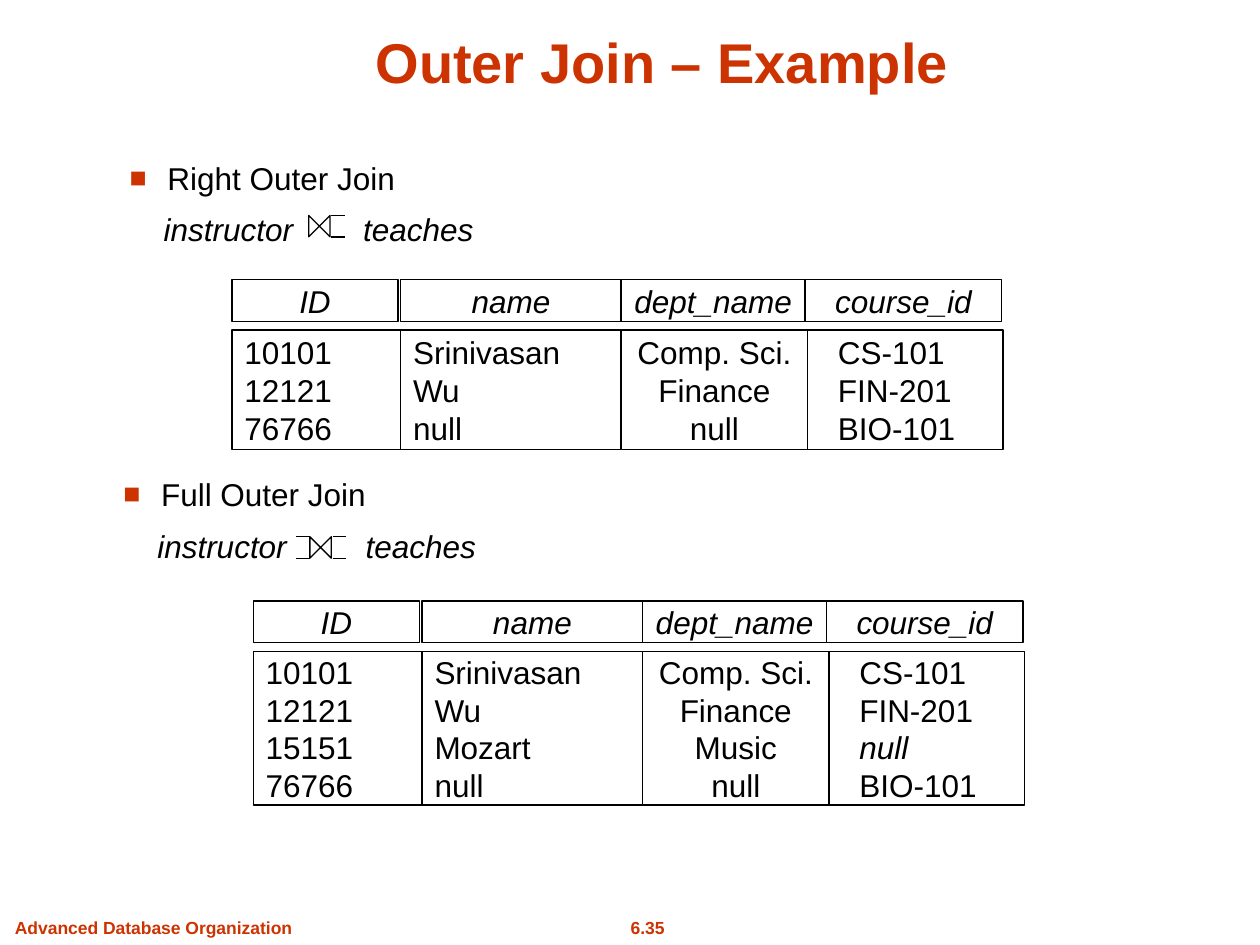
from dataclasses import dataclass

from lxml.etree import SubElement
from pptx import Presentation
from pptx.dml.color import RGBColor
from pptx.enum.shapes import MSO_CONNECTOR, MSO_SHAPE
from pptx.enum.text import MSO_ANCHOR, MSO_AUTO_SIZE, PP_ALIGN
from pptx.oxml.ns import qn
from pptx.util import Inches, Pt


@dataclass(frozen=True)
class Theme:
    """Colours, font, type sizes and line width of the slide."""
    accent: RGBColor = RGBColor(0xCC, 0x33, 0x00)
    ink: RGBColor = RGBColor(0x00, 0x00, 0x00)
    paper: RGBColor = RGBColor(0xFF, 0xFF, 0xFF)
    font: str = "Arial"
    title: Pt = Pt(32)
    body: Pt = Pt(18)
    footer: Pt = Pt(10)
    line: Pt = Pt(0.75)


@dataclass(frozen=True)
class Column:
    """Heading, alignment, left margin and left and width of both cells."""
    heading: str
    align: PP_ALIGN
    margin: float
    header: tuple
    body: tuple


@dataclass(frozen=True)
class Value:
    """A cell value that may be italic."""
    text: str
    italic: bool = False


THEME = Theme()
COLUMNS = (
    Column("ID", PP_ALIGN.LEFT, 0.1, (0, 1.32), (0, 1.35)),
    Column("name", PP_ALIGN.LEFT, 0.1, (1.34, 1.75), (1.34, 1.75)),
    Column("dept_name", PP_ALIGN.CENTER, 0.1, (3.09, 1.46), (3.09, 1.48)),
    Column("course_id", PP_ALIGN.LEFT, 0.24, (4.55, 1.56), (4.57, 1.55)),
)
HEADER_HEIGHT = 0.33
BODY_OFFSET = 0.4


def add_run(paragraph, text, size=THEME.body, color=THEME.ink, bold=False, italic=False):
    """Add one formatted run to a paragraph and return it."""
    run = paragraph.add_run()
    run.text = text
    font = run.font
    font.name, font.size, font.bold, font.italic = THEME.font, size, bold, italic
    font.color.rgb = color
    return run


def add_title(slide, box, text):
    """Place and format the title placeholder."""
    title = slide.shapes.title
    title.left, title.top, title.width, title.height = map(Inches, box)
    frame = title.text_frame
    frame.vertical_anchor = MSO_ANCHOR.BOTTOM
    frame.paragraphs[0].alignment = PP_ALIGN.CENTER
    add_run(frame.paragraphs[0], text, THEME.title, THEME.accent, bold=True)


def add_footer(slide, box, text, align):
    """Add one small bold text at the foot of the slide."""
    frame = slide.shapes.add_textbox(*map(Inches, box)).text_frame
    frame.word_wrap = False
    frame.auto_size = MSO_AUTO_SIZE.SHAPE_TO_FIT_TEXT
    frame.paragraphs[0].alignment = align
    add_run(frame.paragraphs[0], text, THEME.footer, THEME.accent, bold=True)


def set_indent(paragraph, margin, first_line):
    """Set the left margin and first-line indent and return the properties."""
    properties = paragraph._p.get_or_add_pPr()
    properties.set("marL", str(Inches(margin)))
    properties.set("indent", str(Inches(first_line)))
    return properties


def add_bullet(paragraph):
    """Give a paragraph a hanging square bullet in the accent colour."""
    properties = set_indent(paragraph, 0.3, -0.3)
    color = SubElement(properties, qn("a:buClr"))
    SubElement(color, qn("a:srgbClr"), val=str(THEME.accent))
    SubElement(properties, qn("a:buSzPct"), val="90000")
    SubElement(properties, qn("a:buFont"), typeface=THEME.font)
    SubElement(properties, qn("a:buChar"), char="■")


def add_heading(slide, box, name, symbol_spacing):
    """Add a bulleted join name above operands spaced to hold the join symbol."""
    frame = slide.shapes.add_textbox(*map(Inches, box)).text_frame
    frame.word_wrap = True
    frame.auto_size = MSO_AUTO_SIZE.SHAPE_TO_FIT_TEXT
    heading = frame.paragraphs[0]
    add_bullet(heading)
    add_run(heading, name)
    expression = frame.add_paragraph()
    expression.space_before = Pt(7.9)
    set_indent(expression, 0.27, 0)
    add_run(expression, "instructor", italic=True)
    gap = add_run(expression, " ", italic=True)
    gap._r.get_or_add_rPr().set("spc", str(symbol_spacing * 100))
    add_run(expression, "teaches", italic=True)


def add_join_symbol(slide, box, left_arms):
    """Draw a bow tie with arms on the right and, if wanted, on the left."""
    left, top, width, height = box
    group = slide.shapes.add_group_shape()
    bow = group.shapes.add_shape(MSO_SHAPE.FLOWCHART_COLLATE, *map(Inches, box))
    bow.rotation = 270
    bow.shadow.inherit = False
    bow.fill.background()
    bow.line.color.rgb = THEME.ink
    bow.line.width = THEME.line
    arm = 0.11
    starts = [left + width + 0.01] + ([left - arm] if left_arms else [])
    for start in starts:
        for level in (top, top + height):
            line = group.shapes.add_connector(
                MSO_CONNECTOR.STRAIGHT,
                *map(Inches, (start, level, start + arm, level)))
            line.line.color.rgb = THEME.ink
            line.line.width = THEME.line
            SubElement(line._element.spPr, qn("a:effectLst"))


def add_cell(slide, box, values, align, margin=0.1):
    """Add an outlined box with one paragraph per value."""
    cell = slide.shapes.add_shape(MSO_SHAPE.RECTANGLE, *map(Inches, box))
    cell.shadow.inherit = False
    cell.fill.solid()
    cell.fill.fore_color.rgb = THEME.paper
    cell.line.color.rgb = THEME.ink
    cell.line.width = THEME.line
    frame = cell.text_frame
    frame.word_wrap = align != PP_ALIGN.CENTER
    frame.vertical_anchor = MSO_ANCHOR.MIDDLE
    frame.margin_left = Inches(margin)
    for index, value in enumerate(values):
        paragraph = frame.add_paragraph() if index else frame.paragraphs[0]
        paragraph.alignment = align
        add_run(paragraph, value.text, italic=value.italic)


def add_relation(slide, box, rows):
    """Draw a relation as a header strip above its column boxes."""
    left, top, width, height = box
    for column, values in zip(COLUMNS, zip(*rows)):
        offset, cell_width = column.header
        add_cell(slide, (left + offset, top, cell_width, HEADER_HEIGHT),
                 [Value(column.heading, True)], PP_ALIGN.CENTER)
        offset, cell_width = column.body
        add_cell(slide, (left + offset, top + BODY_OFFSET, cell_width, height - BODY_OFFSET),
                 values, column.align, column.margin)


def main():
    """Build and save the outer join slide."""
    presentation = Presentation()
    presentation.slide_width, presentation.slide_height = Inches(10), Inches(7.5)
    slide = presentation.slides.add_slide(presentation.slide_layouts[5])
    add_footer(slide, (4.65, 7.23, 0.98, 0.27), "6.35", PP_ALIGN.CENTER)
    add_footer(slide, (0.02, 7.23, 2.43, 0.27), "Advanced Database Organization", PP_ALIGN.LEFT)
    add_title(slide, (0.84, 0.13, 8.83, 0.67), "Outer Join – Example")

    first = [Value(text) for text in ("10101", "Srinivasan", "Comp. Sci.", "CS-101")]
    second = [Value(text) for text in ("12121", "Wu", "Finance", "FIN-201")]
    third = [Value(text) for text in ("15151", "Mozart", "Music")] + [Value("null", True)]
    last = [Value(text) for text in ("76766", "null", "null", "BIO-101")]

    add_heading(slide, (0.93, 1.21, 4.45, 0.81), "Right Outer Join", 35)
    add_join_symbol(slide, (2.45, 1.71, 0.17, 0.17), left_arms=False)
    add_relation(slide, (1.84, 2.22, 6.12, 1.35), [first, second, last])

    add_heading(slide, (0.88, 3.72, 4.45, 0.81), "Full Outer Join", 40)
    add_join_symbol(slide, (2.46, 4.26, 0.17, 0.17), left_arms=True)
    add_relation(slide, (2.01, 4.77, 6.12, 1.62), [first, second, third, last])
    presentation.save("out.pptx")


if __name__ == "__main__":
    main()
